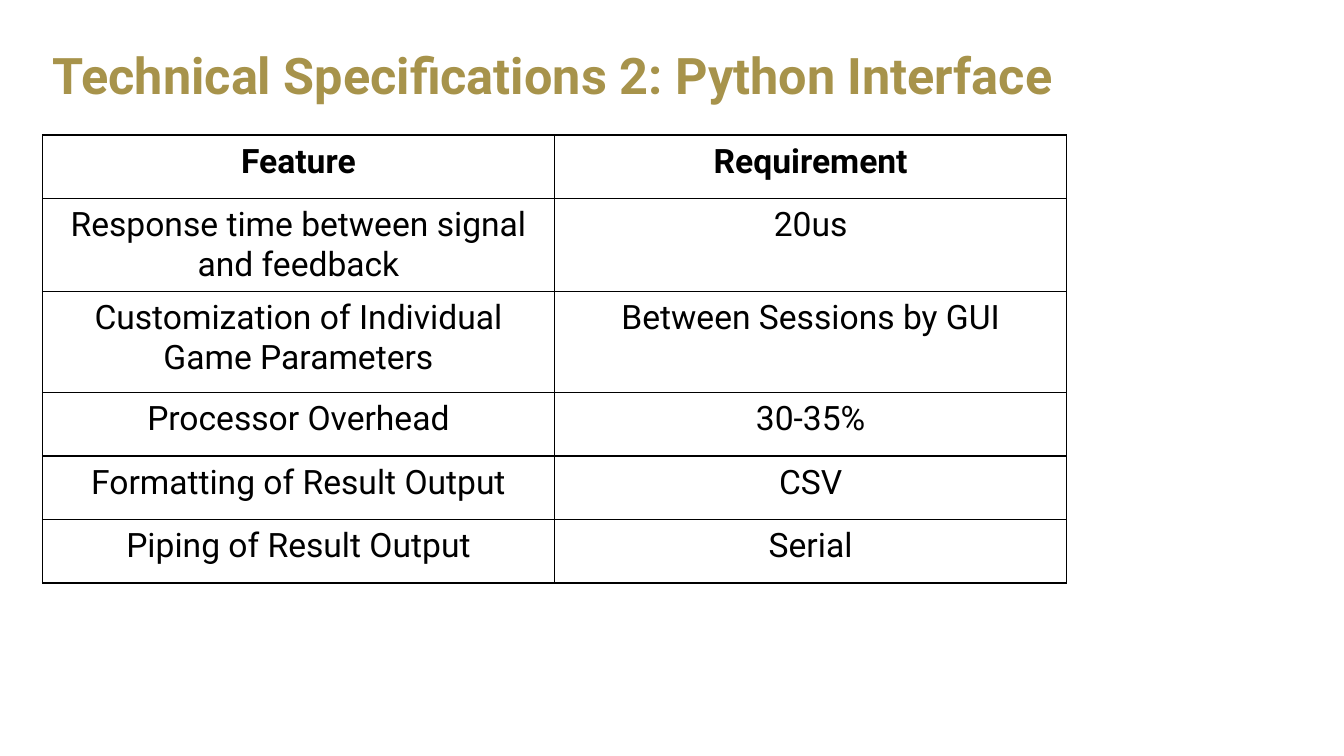
from lxml.etree import SubElement
from pptx import Presentation
from pptx.dml.color import RGBColor
from pptx.enum.text import MSO_ANCHOR, MSO_AUTO_SIZE, PP_ALIGN
from pptx.oxml.ns import qn
from pptx.util import Inches, Pt

GOLD = RGBColor(0xA7, 0x93, 0x4B)
BLACK = RGBColor(0, 0, 0)
FONT = "Roboto"
TITLE_ONLY = 5

SPECIFICATIONS = [
    ("Feature", "Requirement"),
    ("Response time between signal and feedback", "20us"),
    ("Customization of Individual Game Parameters", "Between Sessions by GUI"),
    ("Processor Overhead", "30-35%"),
    ("Formatting of Result Output", "CSV"),
    ("Piping of Result Output", "Serial"),
]
ROW_HEIGHT = 0.63
TALL_ROW, TALL_HEIGHT = 2, 1
CELL_MARGIN = Inches(0.07)


def style_text(para, size, color, bold, align):
    para.alignment = align
    for span in para.runs:
        font = span.font
        font.name, font.size, font.bold = FONT, Pt(size), bold
        font.color.rgb = color


def add_title(page, text, left, top, width, height):
    title = page.shapes.title
    title.left, title.top = Inches(left), Inches(top)
    title.width, title.height = Inches(width), Inches(height)
    frame = title.text_frame
    frame.text = text
    frame.word_wrap = True
    frame.auto_size = MSO_AUTO_SIZE.NONE
    frame.vertical_anchor = MSO_ANCHOR.MIDDLE
    para = frame.paragraphs[0]
    para.line_spacing = 0.9
    style_text(para, 36, GOLD, True, PP_ALIGN.LEFT)


def add_borders(cell):
    properties = cell._tc.get_or_add_tcPr()
    for side in ("a:lnL", "a:lnR", "a:lnT", "a:lnB"):
        line = SubElement(properties, qn(side), w=str(Pt(1)))
        fill = SubElement(line, qn("a:solidFill"))
        SubElement(fill, qn("a:srgbClr"), val=str(BLACK))


def fill_cell(cell, text, bold):
    cell.margin_left = cell.margin_right = CELL_MARGIN
    cell.margin_top = cell.margin_bottom = CELL_MARGIN
    add_borders(cell)
    cell.fill.background()
    cell.text_frame.text = text
    style_text(cell.text_frame.paragraphs[0], 24, BLACK, bold, PP_ALIGN.CENTER)


def add_specification_table(page, rows, left, top, width):
    heights = [TALL_HEIGHT if i == TALL_ROW else ROW_HEIGHT for i in range(len(rows))]
    table = page.shapes.add_table(
        len(rows), len(rows[0]), Inches(left), Inches(top),
        Inches(width), Inches(sum(heights)),
    ).table
    table.first_row = table.horz_banding = False
    for i, (texts, height) in enumerate(zip(rows, heights)):
        table.rows[i].height = Inches(height)
        for j, text in enumerate(texts):
            fill_cell(table.cell(i, j), text, bold=i == 0)


def main():
    deck = Presentation()
    deck.slide_width, deck.slide_height = Inches(13.33), Inches(7.5)
    page = deck.slides.add_slide(deck.slide_layouts[TITLE_ONLY])
    add_title(page, "Technical Specifications 2: Python Interface", 0.42, 0.22, 12.5, 1.11)
    add_specification_table(page, SPECIFICATIONS, 0.42, 1.34, 10.16)
    deck.save("out.pptx")


if __name__ == "__main__":
    main()
